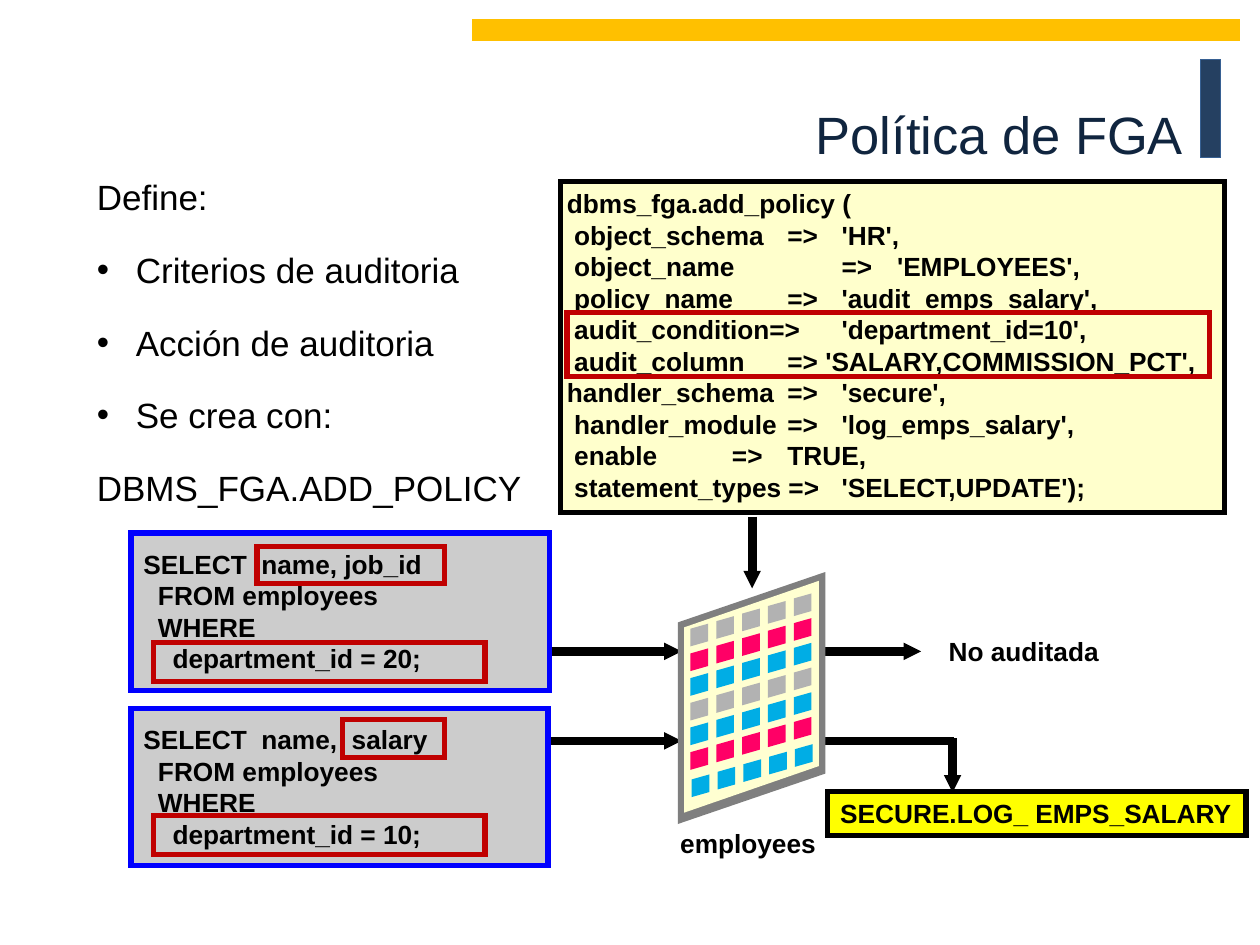
from dataclasses import dataclass
from typing import Optional

from lxml.etree import SubElement
from pptx import Presentation
from pptx.dml.color import RGBColor
from pptx.enum.shapes import MSO_CONNECTOR as Link, MSO_SHAPE as Form
from pptx.enum.text import MSO_ANCHOR as Anchor, PP_ALIGN as Align
from pptx.oxml.ns import qn
from pptx.util import Inches, Pt

FONT = "Arial"
BLACK, RED, BLUE = "000000", "C00000", "0000FF"
GREY, PINK, CYAN = "B2B2B2", "FF0066", "00ADE5"
TABS = (0.87, 1.1, 1.31, 1.75, 2.18, 2.62)
ROWS = (GREY, PINK, CYAN, GREY, CYAN, PINK, CYAN)
CODE = (
    "dbms_fga.add_policy (",
    " object_schema\t=> \t'HR',",
    " object_name\t\t=> \t'EMPLOYEES',",
    " policy_name\t=> \t'audit_emps_salary',",
    " audit_condition=>\t'department_id=10',",
    " audit_column \t=> 'SALARY,COMMISSION_PCT',",
    "handler_schema\t=> \t'secure',",
    " handler_module\t=> \t'log_emps_salary',",
    " enable\t\t\t=> \tTRUE,",
    " statement_types =>\t'SELECT,UPDATE');",
)


@dataclass
class Box:
    left: float
    top: float
    width: float
    height: float
    fill: Optional[str] = None
    line: str = RED
    weight: float = 3
    lines: tuple = ()
    inset: tuple = (0.1, 0.05)
    tabs: tuple = ()

    @property
    def place(self) -> list:
        return [Inches(n) for n in (self.left, self.top, self.width, self.height)]


@dataclass
class Wire:
    start: tuple
    end: tuple
    arrow: bool = True


def tint(code: str) -> RGBColor:
    return RGBColor.from_string(code)


def write(para, text: str, size: float, color: str = BLACK, bold: bool = False) -> None:
    run = para.add_run()
    run.text = text
    font = run.font
    font.name, font.size, font.bold = FONT, Pt(size), bold
    font.color.rgb = tint(color)


def paras(frame, count: int) -> list:
    return [frame.paragraphs[0]] + [frame.add_paragraph() for _ in range(count - 1)]


def fill_text(frame, box: Box) -> None:
    side, top = box.inset
    frame.margin_left = frame.margin_right = Inches(side)
    frame.margin_top, frame.margin_bottom = Inches(top), Inches(0.05)
    frame.vertical_anchor = Anchor.TOP
    for para, text in zip(paras(frame, len(box.lines)), box.lines):
        para.alignment = Align.LEFT
        if box.tabs:
            stops = SubElement(para._p.get_or_add_pPr(), qn("a:tabLst"))
            for stop in box.tabs:
                SubElement(stops, qn("a:tab"), pos=str(Inches(stop)), algn="l")
        write(para, text, 15, bold=True)


def draw_box(slide, box: Box) -> None:
    shape = slide.shapes.add_shape(Form.RECTANGLE, *box.place)
    shape.shadow.inherit = False
    if box.fill:
        shape.fill.solid()
        shape.fill.fore_color.rgb = tint(box.fill)
    else:
        shape.fill.background()
    shape.line.color.rgb = tint(box.line)
    shape.line.width = Pt(box.weight)
    SubElement(shape.line._get_or_add_ln(), qn("a:miter"), lim="800000")
    if box.lines:
        fill_text(shape.text_frame, box)


def draw_wire(slide, wire: Wire) -> None:
    ends = [Inches(n) for n in wire.start + wire.end]
    link = slide.shapes.add_connector(Link.STRAIGHT, *ends)
    link.line.color.rgb = tint(BLACK)
    link.line.width = Pt(5)
    if wire.arrow:
        SubElement(link.line._get_or_add_ln(), qn("a:tailEnd"),
                   type="triangle", w="sm", len="sm")
    SubElement(link._element.spPr, qn("a:effectLst"))


def draw_tile(group, left: float, right: float, top: float, rise: float,
              height: float, color: str) -> None:
    low = top + rise
    points = [(right, top), (left, low), (left, low + height), (right, top + height)]
    first, *rest = [(Inches(x), Inches(y)) for x, y in points]
    pen = group.shapes.build_freeform(*first)
    pen.add_line_segments(rest, close=True)
    shape = pen.convert_to_shape()
    shape.shadow.inherit = False
    shape.fill.solid()
    shape.fill.fore_color.rgb = tint(color)
    shape.line.fill.background()


def draw_grid(slide) -> None:
    group = slide.shapes.add_group_shape()
    draw_tile(group, 5.38, 6.55, 4.54, 0.4, 1.6, "7F7F7F")
    draw_tile(group, 5.43, 6.5, 4.61, 0.37, 1.47, "FFFFD1")
    for row, color in enumerate(ROWS):
        last = row == len(ROWS) - 1
        for col in range(5):
            left = 5.48 + 0.205 * col + 0.01 * last
            top = 4.95 + 0.196 * row - 0.06 * col + 0.02 * last
            draw_tile(group, left, left + 0.14, top, 0.04, 0.14, color)


def draw_label(slide, box: Box) -> None:
    frame = slide.shapes.add_textbox(*box.place).text_frame
    frame.word_wrap = False
    fill_text(frame, box)


def draw_title(slide) -> None:
    area = Box(0.67, 0.26, 8.82, 1.6)
    frame = slide.shapes.add_textbox(*area.place).text_frame
    frame.word_wrap = True
    frame.vertical_anchor = Anchor.MIDDLE
    para = frame.paragraphs[0]
    para.alignment = Align.RIGHT
    write(para, "Política de FGA", 30, "10253F")


def draw_list(slide) -> None:
    items = ("Define: ", "Criterios de auditoria", "Acción de auditoria",
             "Se crea con:", "DBMS_FGA.ADD_POLICY")
    area = Box(0.67, 1.18, 3.66, 2.83)
    frame = slide.shapes.add_textbox(*area.place).text_frame
    frame.word_wrap = True
    for i, para in enumerate(paras(frame, len(items))):
        para.alignment = Align.LEFT if i == 4 else Align.JUSTIFY
        if i in (1, 2, 3):
            props = para._p.get_or_add_pPr()
            props.set("marL", str(Inches(0.31)))
            props.set("indent", str(Inches(-0.31)))
            SubElement(props, qn("a:buFont"), typeface=FONT)
            SubElement(props, qn("a:buChar"), char="•")
        para.line_spacing = 1.5
        if i:
            para.space_before = Pt(5.5)
        write(para, items[i], 20)


def query(top: float, width: float, fields: str, dept: int) -> Box:
    lines = (f"SELECT  {fields}", "  FROM employees", "  WHERE",
             f"    department_id = {dept};")
    return Box(1.04, top, width, 1.25, "CCCCCC", BLUE, lines=lines, inset=(0.1, 0.12))


def main() -> None:
    """Build the slide on the FGA audit policy."""
    deck = Presentation()
    deck.slide_width, deck.slide_height = Inches(10), Inches(7.5)
    slide = deck.slides.add_slide(deck.slide_layouts[6])
    draw_box(slide, Box(9.53, 0.47, 0.16, 0.78, "254061", "376092", 0.75))
    draw_box(slide, Box(3.75, 0.16, 6.09, 0.16, "FFC000", "FFC000", 0.75))
    draw_title(slide)
    draw_list(slide)
    for wire in (Wire((4.3, 5.17), (5.41, 5.17)), Wire((4.15, 5.88), (5.41, 5.88)),
                 Wire((6.39, 5.17), (7.31, 5.17)), Wire((6.39, 5.88), (7.57, 5.88), False),
                 Wire((5.97, 4.1), (5.97, 4.67))):
        draw_wire(slide, wire)
    for box in (Box(4.45, 1.44, 5.27, 2.63, "FFFFCC", BLACK, lines=CODE,
                    inset=(0.05, 0.05), tabs=TABS),
                query(4.23, 3.32, "name, job_id", 20),
                query(5.62, 3.31, "name,  salary", 10),
                Box(6.57, 6.28, 3.32, 0.35, "FFFF00", BLACK,
                    lines=("SECURE.LOG_ EMPS_SALARY",))):
        draw_box(slide, box)
    draw_grid(slide)
    draw_label(slide, Box(5.3, 6.52, 1.29, 0.35, lines=("employees",)))
    draw_label(slide, Box(7.43, 4.99, 1.41, 0.35, lines=("No auditada",)))
    for mark in (Box(1.22, 6.47, 2.63, 0.31), Box(2.72, 5.71, 0.81, 0.3),
                 Box(1.22, 5.1, 2.63, 0.31), Box(2.04, 4.34, 1.49, 0.29),
                 Box(4.5, 2.48, 5.1, 0.51)):
        draw_box(slide, mark)
    draw_wire(slide, Wire((7.56, 5.86), (7.56, 6.29)))
    deck.save("out.pptx")


if __name__ == "__main__":
    main()
